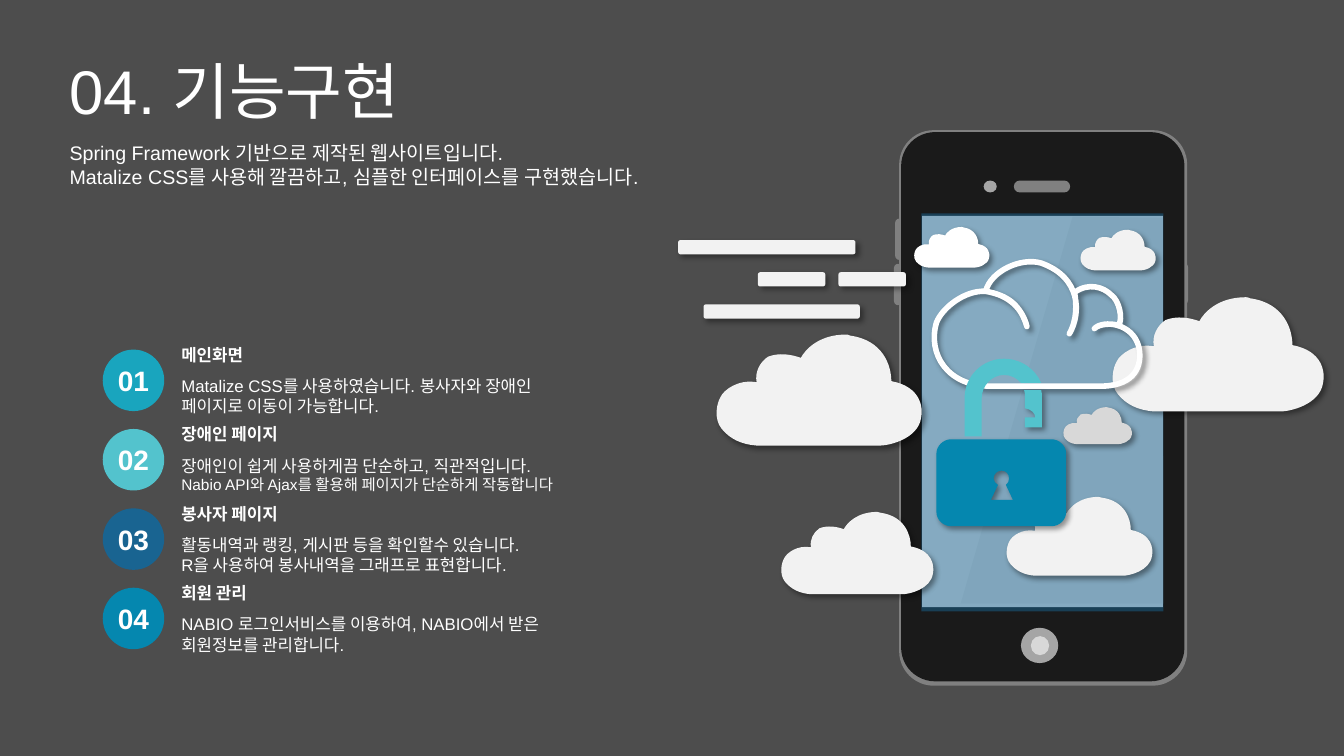
from lxml.etree import SubElement
from pptx import Presentation
from pptx.dml.color import RGBColor
from pptx.enum.shapes import MSO_SHAPE
from pptx.enum.text import MSO_ANCHOR, MSO_AUTO_SIZE, PP_ALIGN
from pptx.oxml.ns import qn
from pptx.util import Cm, Pt

# ---- Content ----
TITLE = "04. 기능구현"
INTRO = ["Spring Framework 기반으로 제작된 웹사이트입니다.",
         "Matalize CSS를 사용해 깔끔하고, 심플한 인터페이스를 구현했습니다."]
# heading, circle colour, (line, size) pairs
FEATURES = [
    ("메인화면", "cyan",
     [("Matalize CSS를 사용하였습니다. 봉사자와 장애인 페이지로 이동이 가능합니다.", "body")]),
    ("장애인 페이지", "aqua",
     [("장애인이 쉽게 사용하게끔 단순하고, 직관적입니다.", "body"),
      ("Nabio API와 Ajax를 활용해 페이지가 단순하게 작동합니다", "small")]),
    ("봉사자 페이지", "navy",
     [("활동내역과 랭킹, 게시판 등을 확인할수 있습니다.", "body"),
      ("R을 사용하여 봉사내역을 그래프로 표현합니다.", "body")]),
    ("회원 관리", "blue",
     [("NABIO 로그인서비스를 이용하여, NABIO에서 받은 회원정보를 관리합니다.", "body")]),
]

THEME = {
    "font": "Arial",
    "size": {"title": 44, "intro": 14, "number": 20, "body": 12, "small": 11},
    "color": {"back": "4D4D4D", "white": "FFFFFF", "cyan": "19A5BE", "aqua": "53C3CD",
              "navy": "196491", "blue": "0587AF", "frame": "808080", "case": "1A1A1A",
              "pale": "F2F2F2", "grey": "A5A5A5", "light": "D8D8D8", "glare": "999999"},
}

# ---- Drawing data: cm; an outline step is a point (2) or a cubic curve (6) ----
ROUND, OVAL, RECT = MSO_SHAPE.ROUNDED_RECTANGLE, MSO_SHAPE.OVAL, MSO_SHAPE.RECTANGLE
# preset, left, top, width, height, colour, corner ratio
PHONE = [
    (ROUND, 22.56, 5.51, 0.2, 1.04, "frame", 0.5),
    (ROUND, 22.53, 6.65, 0.2, 1.04, "frame", 0.5),
    (ROUND, 29.74, 6.63, 0.2, 1.04, "frame", 0.5),
    (ROUND, 22.66, 3.28, 7.26, 14, "frame", 0.12),
    (ROUND, 22.71, 3.33, 7.14, 13.84, "case", 0.12),
    (RECT, 23.24, 5.44, 6.07, 9.86, "pale", None),
    (OVAL, 25.73, 15.82, 0.94, 0.89, "grey", None),
    (OVAL, 25.98, 16.03, 0.46, 0.48, "light", None),
    (ROUND, 25.55, 4.55, 1.42, 0.3, "frame", 0.5),
    (OVAL, 24.79, 4.55, 0.33, 0.3, "grey", None),
]
GLARE = [(27.03, 5.46), (29.31, 5.49), (29.34, 15.21), (24.21, 15.21)]
# left, top, width, colour
CLOUDS = [(18.06, 8.43, 5.18, "pale"), (28.04, 7.49, 5.33, "pale"),
          (26.8, 10.26, 1.73, "light"), (23.04, 5.72, 1.9, "white"),
          (27.23, 5.79, 1.9, "pale"), (19.69, 12.9, 3.84, "pale"),
          (25.37, 12.52, 3.68, "pale")]
CLOUD_RATIO = 0.54
# percent of cloud width and height
CLOUD = [(63, 0), (63.5, 0, 64, 0, 65, 1), (81, 5, 85, 28, 85, 42),
         (99.5, 47, 100.5, 66, 99.5, 75), (98, 94, 84, 100, 79.5, 100), (19.5, 100),
         (12, 99, 6.5, 94, 2.5, 85), (-1.5, 76, 0, 62, 2, 56),
         (3.5, 50, 10.5, 40, 19.5, 43), (18.5, 34, 21, 25, 25, 20),
         (30.5, 16, 36.5, 18, 41, 21), (43, 14, 49.5, 0, 63, 0)]
CLOUD_LINE = [
    (24.99, 9.73), (27.81, 9.73), (28.6, 9.7, 28.8, 9.22, 28.7, 8.74),
    (28.55, 8.15, 27.81, 8.05, 27.58, 8.28), (27.71, 8.15, 28.04, 8.15, 28.19, 8.2),
    (28.3, 8.05, 28.22, 7.57, 27.99, 7.42), (27.81, 7.24, 27.43, 7.11, 27.08, 7.37),
    (27.13, 7.65, 27.15, 8.05, 26.95, 8.41), (27.25, 7.9, 27.25, 6.99, 26.24, 6.63),
    (25.73, 6.48, 24.97, 6.83, 24.84, 7.34), (25.22, 7.42, 25.68, 7.54, 25.88, 8.23),
    (25.78, 7.8, 25.43, 7.42, 24.82, 7.34), (24.31, 7.32, 23.75, 7.75, 23.6, 8.13),
    (23.37, 8.92, 23.88, 9.75, 24.99, 9.73)]
LOCK_CATCH = [(25.81, 9.83), (26.24, 9.83), (26.24, 9.88, 26.26, 9.91, 26.26, 9.93),
              (26.26, 10.77), (25.83, 10.77), (25.83, 10.52), (26.09, 10.52),
              (26.09, 10.41, 25.98, 10.31, 25.83, 10.29), (25.83, 10.01),
              (25.83, 9.93, 25.83, 9.88, 25.81, 9.83)]
LOCK_BOW = [(25.3, 9.04), (25.73, 9.04, 26.09, 9.3, 26.24, 9.65), (25.73, 9.65),
            (25.63, 9.53, 25.48, 9.45, 25.3, 9.45), (24.99, 9.45, 24.74, 9.73, 24.74, 10.03),
            (24.74, 11), (24.31, 11), (24.31, 10.03), (24.31, 9.47, 24.77, 9.04, 25.3, 9.04)]
LOCK_BODY = [(23.97, 11.07), (26.5, 11.07), (26.7, 11.07, 26.87, 11.24, 26.87, 11.43),
             (26.87, 12.9), (26.87, 13.1, 26.7, 13.26, 26.5, 13.26), (23.97, 13.26),
             (23.77, 13.26, 23.6, 13.1, 23.6, 12.9), (23.6, 11.43),
             (23.6, 11.24, 23.77, 11.07, 23.97, 11.07)]
KEYHOLE = [(25.24, 11.86), (25.14, 11.86, 25.04, 11.94, 25.04, 12.06),
           (25.04, 12.12, 25.09, 12.19, 25.15, 12.22), (24.97, 12.6), (25.53, 12.6),
           (25.35, 12.22), (25.4, 12.19, 25.43, 12.12, 25.43, 12.06),
           (25.43, 11.94, 25.35, 11.86, 25.24, 11.86)]
# left, top, width
SPEED_BARS = [(17.09, 6.05, 4.47), (17.73, 7.67, 3.94), (19.1, 6.86, 1.7), (21.13, 6.86, 1.7)]


# ---- Helpers ----
def rgb(name):
    return RGBColor.from_string(THEME["color"][name])


def paint(sp, color, alpha=None, shadow=False):
    sp.line.fill.background()
    sp.shadow.inherit = False
    if color:
        sp.fill.solid()
        sp.fill.fore_color.rgb = rgb(color)
    else:
        sp.fill.background()
    if alpha:
        clr = sp._element.spPr.find(qn("a:solidFill"))[0]
        SubElement(clr, qn("a:alpha"), val=str(alpha * 1000))
    if shadow:
        effects = sp._element.spPr.find(qn("a:effectLst"))
        outer = SubElement(effects, qn("a:outerShdw"), blurRad=str(Pt(4)), dist=str(Pt(3)),
                           dir="2700000", algn="tl", rotWithShape="0")
        clr = SubElement(outer, qn("a:srgbClr"), val="000000")
        SubElement(clr, qn("a:alpha"), val="40000")
    return sp


def preset(s, kind, x, y, w, h, color, corner=None, **style):
    sp = s.shapes.add_shape(kind, Cm(x), Cm(y), Cm(w), Cm(h))
    if corner is not None:
        sp.adjustments[0] = corner
    return paint(sp, color, **style)


def outline(s, color, *contours, **style):
    fb = None
    for steps in contours:
        (start, *pts) = [(Cm(step[k]), Cm(step[k + 1]))
                         for step in steps for k in range(0, len(step), 2)]
        if fb is None:
            fb = s.shapes.build_freeform(*start)
        else:
            fb.move_to(*start)
        fb.add_line_segments(pts, close=True)
    sp = fb.convert_to_shape()
    # Join each three control points into one curve
    lines = sp._element.iter(qn("a:lnTo"))
    lines = iter(list(lines))
    for step in (step for steps in contours for step in steps[1:]):
        group = [next(lines) for _ in range(len(step) // 2)]
        if len(group) == 3:
            curve = SubElement(group[0].getparent(), qn("a:cubicBezTo"))
            group[0].addprevious(curve)
            for ln in group:
                curve.append(ln[0])
                ln.getparent().remove(ln)
    return paint(sp, color, **style)


def write(sp, lines, bold=False, align=PP_ALIGN.LEFT, anchor=MSO_ANCHOR.TOP, spacing=1.0):
    tf = sp.text_frame
    frame = {"word_wrap": True, "auto_size": MSO_AUTO_SIZE.NONE, "vertical_anchor": anchor}
    for key, value in frame.items():
        setattr(tf, key, value)
    for i, (text, size) in enumerate(lines):
        p = tf.add_paragraph() if i else tf.paragraphs[0]
        layout = {"alignment": align, "line_spacing": spacing,
                  "space_before": Pt(0), "space_after": Pt(0)}
        for key, value in layout.items():
            setattr(p, key, value)
        r = p.add_run()
        r.text = text
        font = {"name": THEME["font"], "size": Pt(THEME["size"][size]), "bold": bold}
        for key, value in font.items():
            setattr(r.font, key, value)
        r.font.color.rgb = rgb("white")
    return tf


def place(sp, x, y, w, h):
    for key, value in {"left": x, "top": y, "width": w, "height": h}.items():
        setattr(sp, key, Cm(value))
    return sp


def main():
    prs = Presentation()
    prs.slide_width, prs.slide_height = Cm(33.87), Cm(19.05)
    s = prs.slides.add_slide(prs.slide_layouts[1])
    s.background.fill.solid()
    s.background.fill.fore_color.rgb = rgb("back")

    # Title and introduction
    write(place(s.shapes.title, 1.5, 1.42, 16.38, 1.98), [(TITLE, "title")], spacing=0.9)
    intro = write(place(s.placeholders[1], 1.5, 3.43, 16.54, 2.06), [(t, "intro") for t in INTRO])
    for p in intro.paragraphs:
        pPr = p._p.get_or_add_pPr()
        pPr.set("marL", "0")
        pPr.set("indent", "0")
        SubElement(pPr, qn("a:buNone"))

    # Numbered features
    for i, (heading, color, lines) in enumerate(FEATURES):
        y = 8.81 + 2 * i
        badge = preset(s, OVAL, 2.59, y, 1.55, 1.55, color)
        tf = write(badge, [(f"{i + 1:02}", "number")], True, PP_ALIGN.CENTER, MSO_ANCHOR.MIDDLE)
        tf.margin_left = tf.margin_right = 0
        for dy, h, text, bold in ((-0.25, 0.76, [(heading, "body")], True),
                                  (0.54, 1.27, lines, False)):
            box = s.shapes.add_textbox(Cm(4.32), Cm(y + dy), Cm(10.64), Cm(h))
            write(box, text, bold)

    # Phone and tinted screen
    for part in PHONE:
        preset(s, *part)
    outline(s, "glare", GLARE, alpha=10)
    preset(s, RECT, 23.22, 5.38, 6.1, 10.03, "navy", alpha=50)

    # Clouds
    for x, y, w, color in CLOUDS:
        scale = (w / 100, w * CLOUD_RATIO / 100)
        steps = [tuple((x, y)[k % 2] + v * scale[k % 2] for k, v in enumerate(step))
                 for step in CLOUD]
        outline(s, color, steps, shadow=True)
    drawn = outline(s, None, CLOUD_LINE, shadow=True)
    drawn.line.color.rgb = rgb("white")
    drawn.line.width = Pt(4)

    # Padlock
    outline(s, "aqua", LOCK_CATCH, shadow=True)
    outline(s, "aqua", LOCK_BOW)
    outline(s, "blue", LOCK_BODY, KEYHOLE, shadow=True)

    # Speed bars
    for x, y, w in SPEED_BARS:
        preset(s, ROUND, x, y, w, 0.36, "pale", 0.17, shadow=True)

    prs.save("out.pptx")


if __name__ == "__main__":
    main()
